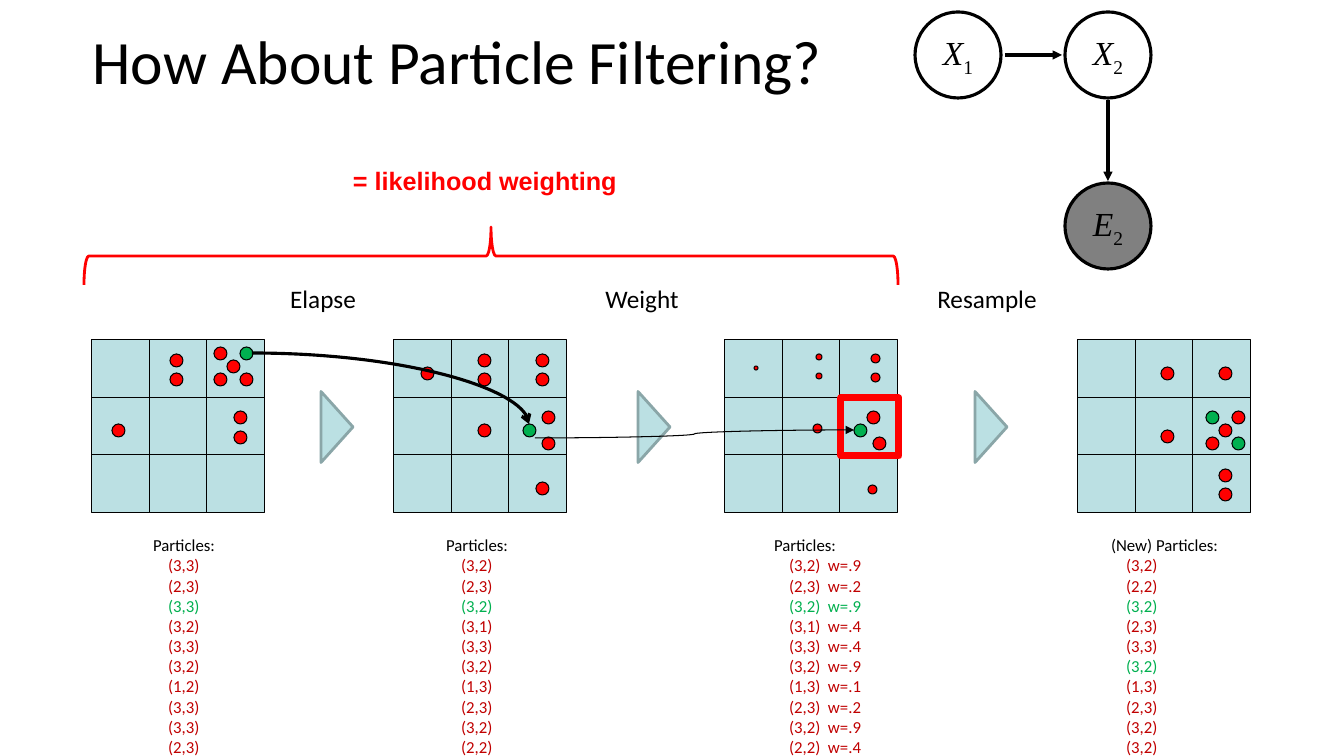
"""Build the particle filtering slide."""
from pptx import Presentation
from pptx import util as u
from pptx.dml.color import RGBColor
from pptx.enum import shapes, text
from pptx.oxml import ns
from lxml import etree

PX = 914400 / 100.8
HUE = {"black": "000000", "white": "FFFFFF", "gray": "808080", "red": "FF0000",
       "green": "00B050", "dark": "C00000", "cell": "BBE0E3", "edge": "8AA6A8"}
KIND = shapes.MSO_SHAPE
MID = {"alignment": text.PP_ALIGN.CENTER}
BARE = {"margin_left": 0, "margin_right": 0, "margin_top": 0, "margin_bottom": 0,
        "word_wrap": False, "vertical_anchor": text.MSO_ANCHOR.MIDDLE}
FRAME = {"word_wrap": True, "auto_size": text.MSO_AUTO_SIZE.NONE}
TOP = {**FRAME, "vertical_anchor": text.MSO_ANCHOR.TOP,
       "margin_left": u.Inches(0.1), "margin_right": u.Inches(0.1),
       "margin_top": u.Inches(0.05), "margin_bottom": u.Inches(0.05)}
TIGHT = {"space_before": 0, "space_after": 0, "line_spacing": 1.0,
         "alignment": text.PP_ALIGN.LEFT}
CALIBRI = {"name": "Calibri", "bold": False}

STEPS = [
    {"left": 92, "list": 143, "head": "Particles:", "green": {2},
     "pairs": "33 23 33 32 33 32 12 33 33 23", "weights": "",
     "dots": [(84, 20), (84, 39), (128, 13), (141, 26), (128, 39), (154, 39),
              (148, 77), (148, 97), (26, 90)],
     "marked": [(154, 13)]},
    {"left": 394, "list": 436, "head": "Particles:", "green": {2},
     "pairs": "32 23 32 31 33 32 13 23 32 22", "weights": "",
     "dots": [(33, 33), (90, 20), (90, 39), (148, 20), (148, 39), (154, 77),
              (154, 103), (90, 90), (148, 148)],
     "marked": [(135, 90)]},
    {"left": 725, "list": 764, "head": "Particles:", "green": {2},
     "pairs": "32 23 32 31 33 32 13 23 32 22", "weights": "9294491294",
     "dots": [(31, 28, 4), (94, 17, 6), (94, 36, 6), (150, 18, 9), (150, 37, 9),
              (148, 77), (154, 103), (92, 88, 9), (147, 149, 9)],
     "marked": [(135, 90)]},
    {"left": 1078, "list": 1101, "head": "(New) Particles:", "green": {2, 5},
     "pairs": "32 22 32 23 33 32 13 23 32 32", "weights": "",
     "dots": [(89, 33), (147, 33), (89, 96), (160, 77), (147, 90), (134, 103),
              (147, 135), (147, 154)],
     "marked": [(134, 77), (160, 103)]},
]
MOVES = [("Elapse", 235, 337), ("Weight", 554, 654), ("Resample", 899, 991)]


def emu(*nums):
    """Turn pixels into EMU."""
    return [u.Emu(round(n * PX)) for n in nums]


def shade(name):
    """Look up a colour."""
    return RGBColor.from_string(HUE[name])


def mold(item, vals):
    """Set each attribute from a dict."""
    for key, val in vals.items():
        setattr(item, key, val)


def ink(run, size, hue="black", **vals):
    """Format the font of a run."""
    mold(run.font, {**CALIBRI, "size": u.Pt(size), **vals})
    run.font.color.rgb = shade(hue)


def put(slide, kind, box, fill, line="black", width=0.75):
    """Add a filled and outlined shape."""
    shape = slide.shapes.add_shape(kind, *emu(*box))
    shape.shadow.inherit = False
    if fill:
        shape.fill.solid()
        shape.fill.fore_color.rgb = shade(fill)
    else:
        shape.fill.background()
    shape.line.color.rgb = shade(line)
    shape.line.width = u.Pt(width)
    return shape


def turn(slide, kind, spot, size, fill, line):
    """Add a shape turned a quarter about its centre."""
    (x, y), (w, h) = spot, size
    put(slide, kind, (x - w / 2, y - h / 2, w, h), fill, line, 2).rotation = 90


def link(slide, ends, width, tip="triangle", form="line"):
    """Draw an arrow between two points."""
    kind = shapes.MSO_CONNECTOR
    line = slide.shapes.add_connector(
        kind.STRAIGHT if form == "line" else kind.CURVE, *emu(*ends))
    line.line.color.rgb = shade("black")
    line.line.width = u.Pt(width)
    props = line._element.spPr
    props.find(ns.qn("a:prstGeom")).set("prst", form)
    etree.SubElement(props.find(ns.qn("a:ln")), ns.qn("a:tailEnd"), type=tip)
    etree.SubElement(props, ns.qn("a:effectLst"))


def note(slide, box, words, **vals):
    """Add a centred one-line label."""
    frame = slide.shapes.add_textbox(*emu(*box)).text_frame
    mold(frame, FRAME)
    mold(frame.paragraphs[0], MID)
    run = frame.paragraphs[0].add_run()
    run.text = words
    ink(run, 18, **vals)


def place(holder, box):
    """Move a placeholder to a box."""
    mold(holder, dict(zip(("left", "top", "width", "height"), emu(*box))))


def title(slide, box):
    """Fill the slide title."""
    holder = slide.shapes.title
    place(holder, box)
    frame = holder.text_frame
    mold(frame, {**TOP, "vertical_anchor": text.MSO_ANCHOR.MIDDLE})
    frame.text = "How About Particle Filtering?"
    mold(frame.paragraphs[0], MID)
    ink(frame.paragraphs[0].runs[0], 44)


def grid(slide, box, step):
    """Draw a three by three grid with its particles."""
    x, y, side = box
    for i in range(9):
        put(slide, KIND.RECTANGLE, (x + round(i % 3 * side / 3),
            y + round(i // 3 * side / 3), 58, 58), "cell")
    for hue, group in (("red", step["dots"]), ("green", step["marked"])):
        for dx, dy, *size in group:
            d = size[0] if size else 13
            put(slide, KIND.OVAL, (x + dx - d // 2, y + dy - d // 2, d, d), hue)


def roster(holder, box, step):
    """List the particles under a grid."""
    place(holder, box)
    frame = holder.text_frame
    mold(frame, TOP)
    rows = [(step["head"], "black", 0)]
    for i, pair in enumerate(step["pairs"].split()):
        tail = f"  w=.{step['weights'][i]}" if step["weights"] else ""
        hue = "green" if i in step["green"] else "dark"
        rows.append((f"({pair[0]},{pair[1]}){tail}", hue, 15))
    frame.text = "\n".join(row[0] for row in rows)
    for para, (_, hue, pad) in zip(frame.paragraphs, rows):
        mold(para, TIGHT)
        props = para._p.get_or_add_pPr()
        props.set("marL", str(emu(pad)[0]))
        props.set("indent", "0")
        etree.SubElement(props, ns.qn("a:buNone"))
        ink(para.runs[0], 12, hue)


def node(slide, box, name, sub, fill="white"):
    """Draw a network variable."""
    frame = put(slide, KIND.OVAL, box, fill, width=2.25).text_frame
    mold(frame, BARE)
    para = frame.paragraphs[0]
    mold(para, MID)
    for words, slant in ((name, True), (sub, False)):
        run = para.add_run()
        run.text = words
        ink(run, 24, name="Times New Roman", italic=slant)
    run._r.get_or_add_rPr().set("baseline", "-25000")


def net(slide, box):
    """Draw the Bayes net within a box."""
    x, y, w, h = box
    d = 86
    far, low = x + w - d, y + h - d
    node(slide, (x, y, d, d), "X", "1")
    node(slide, (far, y, d, d), "X", "2")
    node(slide, (far, low, d, d), "E", "2", "gray")
    link(slide, (x + d + 4, y + d / 2, far - 3, y + d / 2), 2.25)
    link(slide, (far + d / 2, y + d + 2, far + d / 2, low - 2), 2.25)


def flow(slide, box):
    """Draw the four steps and the moves between them."""
    y, side = box
    bodies = [h for h in slide.placeholders if h.placeholder_format.idx]
    for holder, step in zip(bodies, STEPS):
        grid(slide, (step["left"], y, side), step)
        roster(holder, (step["list"], y + 190, 151, 234), step)
    for words, left, mid in MOVES:
        turn(slide, KIND.ISOSCELES_TRIANGLE, (mid, y + 87), (71, 32), "cell", "edge")
        note(slide, (left, y - 62, 176, 40), words)
    put(slide, KIND.RECTANGLE, (841, y + 58, 58, 58), None, "red", 5)
    link(slide, (252, y + 13, 529, y + 84), 2.25, "arrow", "curvedConnector2")
    link(slide, (535, y + 98, 854, y + 90), 0.75, form="curvedConnector3")


def main():
    """Build and save the deck."""
    deck = Presentation()
    mold(deck, dict(zip(("slide_width", "slide_height"), emu(1344, 756))))
    slide = deck.slides.add_slide(deck.slide_layouts[4])
    title(slide, (0, -3, 915, 126))
    flow(slide, (340, 173))
    net(slide, (915, 12, 236, 257))
    turn(slide, KIND.LEFT_BRACE, (491, 256), (58, 814), None, "red")
    note(slide, (335, 160, 300, 40), "= likelihood weighting",
         hue="red", name="Arial", bold=True)
    deck.save("out.pptx")


main()
